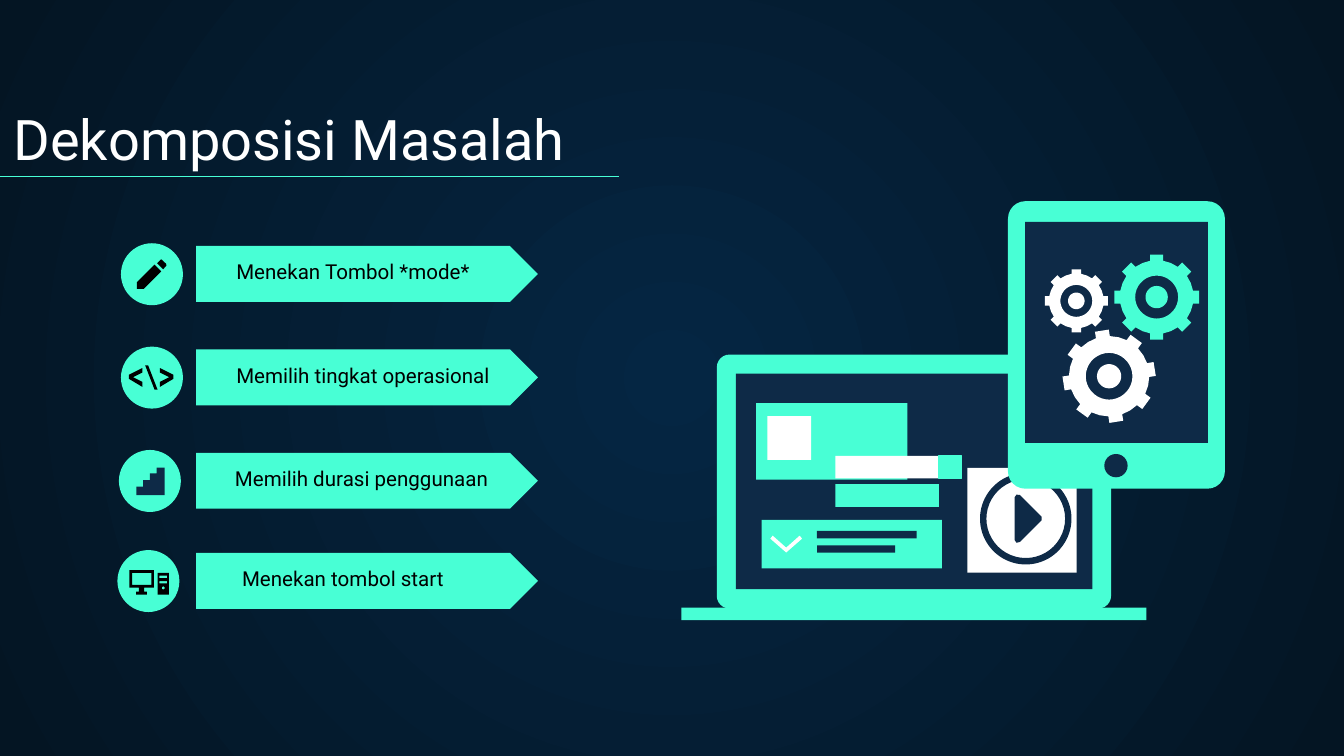
from math import asin, cos, pi, radians, sin

from lxml import etree
from pptx import Presentation
from pptx.dml.color import RGBColor
from pptx.enum.shapes import MSO_CONNECTOR, MSO_SHAPE
from pptx.enum.text import MSO_ANCHOR, MSO_AUTO_SIZE, PP_ALIGN
from pptx.oxml.ns import qn
from pptx.util import Pt

MINT = RGBColor(0x48, 0xFF, 0xD5)
NAVY = RGBColor(0x0E, 0x2A, 0x47)
WHITE = RGBColor(0xFF, 0xFF, 0xFF)
BLACK = RGBColor(0, 0, 0)
GLOW = RGBColor(0x05, 0x26, 0x43)
EDGE = RGBColor(0x04, 0x15, 0x23)

RECT = MSO_SHAPE.RECTANGLE
ROUND = MSO_SHAPE.ROUNDED_RECTANGLE
OVAL = MSO_SHAPE.OVAL
RING = MSO_SHAPE.DONUT
ARROW = MSO_SHAPE.PENTAGON
STRAIGHT = MSO_CONNECTOR.STRAIGHT
LEFT = PP_ALIGN.LEFT
BOTTOM = MSO_ANCHOR.BOTTOM
FIXED = MSO_AUTO_SIZE.NONE


def box(left, top, right, bottom):
    return [(left, top), (right, top), (right, bottom), (left, bottom)]


def polar(x, y, radius, angle):
    return x + radius * sin(angle), y - radius * cos(angle)


def circle(x, y, radius):
    return [polar(x, y, radius, i * pi / 18) for i in range(36)]


class Board:
    font = "Roboto"

    def __init__(self, deck):
        self.slide = deck.slides.add_slide(deck.slide_layouts[5])
        self.shapes = self.slide.shapes

    def backdrop(self, inner, outer):
        fill = self.slide.background.fill
        fill.gradient()
        for stop, color, place in zip(fill.gradient_stops, (inner, outer), (0, 1)):
            stop.color.rgb = color
            stop.position = place
        grad = self.slide._element.find(".//" + qn("a:gradFill"))
        way = etree.Element(qn("a:path"))
        way.set("path", "circle")
        sides = dict.fromkeys("ltrb", "50000")
        etree.SubElement(way, qn("a:fillToRect"), **sides)
        grad.replace(grad.find(qn("a:lin")), way)

    def paint(self, item, color):
        item.shadow.inherit = False
        item.fill.solid()
        item.fill.fore_color.rgb = color
        item.line.fill.background()
        return item

    def shape(self, kind, color, left, top, width, height, adjust=None):
        item = self.shapes.add_shape(kind, Pt(left), Pt(top), Pt(width), Pt(height))
        if adjust is not None:
            item.adjustments[0] = adjust
        return self.paint(item, color)

    def trace(self, color, loops, dx=0, dy=0):
        loops = [[(Pt(x + dx), Pt(y + dy)) for x, y in loop] for loop in loops]
        pen = self.shapes.build_freeform(*loops[0][0])
        for i, loop in enumerate(loops):
            if i:
                pen.move_to(*loop[0])
            pen.add_line_segments(loop[1:], close=True)
        return self.paint(pen.convert_to_shape(), color)

    def gear(self, color, x, y, radius, tilt=0):
        body, half = 0.86, 0.15
        foot, tip = asin(half / body), asin(half)
        rim = []
        for i in range(8):
            turn = radians(tilt + 45 * i)
            for size, angle in ((body, -foot), (1, -tip), (1, tip), (body, foot), (body, pi / 8)):
                rim.append(polar(x, y, size * radius, turn + angle))
        self.trace(color, [rim, circle(x, y, 0.5 * radius), circle(x, y, 0.26 * radius)])

    def line(self, x1, y1, x2, y2, color):
        item = self.shapes.add_connector(STRAIGHT, Pt(x1), Pt(y1), Pt(x2), Pt(y2))
        item.line.color.rgb = color
        item.line.width = Pt(0.75)
        etree.SubElement(item._element.spPr, qn("a:effectLst"))

    def letter(self, item, text, size, color):
        frame = item.text_frame
        frame.text = text
        frame.word_wrap = True
        frame.auto_size = FIXED
        frame.vertical_anchor = BOTTOM
        frame.margin_left = frame.margin_right = Pt(7.2)
        frame.margin_top = frame.margin_bottom = Pt(7.2)
        line = frame.paragraphs[0]
        line.alignment = LEFT
        font = line.runs[0].font
        font.name, font.size = self.font, Pt(size)
        font.color.rgb = color

    def title(self, text, left, top, width, height):
        item = self.shapes.title
        item.left, item.top = Pt(left), Pt(top)
        item.width, item.height = Pt(width), Pt(height)
        self.letter(item, text, 30, WHITE)

    def label(self, text, left, top, width, height):
        item = self.shapes.add_textbox(Pt(left), Pt(top), Pt(width), Pt(height))
        self.letter(item, text, 11, BLACK)


PENCIL = [
    [(21.6, 8.6), (19.4, 10.8), (22.6, 14), (24.4, 12), (24.2, 11)],
    [(18, 11.5), (8.6, 20.9), (8.6, 24.5), (12.2, 24.5), (21.6, 15.1)],
]
ANGLE = [(11.5, 21.6), (4.3, 17.3), (4.3, 15.1), (11.5, 11.5), (11.5, 13.9),
         (6.5, 16.4), (11.5, 18.9)]
CODE = [ANGLE, [(18, 23), (13, 10.1), (14.6, 10.1), (19.6, 23)],
        [(32.4 - x, y) for x, y in ANGLE]]
STAIRS = [[(20.2, 9.4), (20.2, 12.6), (16.6, 12.6), (16.6, 16.2), (13, 16.2),
           (13, 19.6), (9.4, 19.6), (9.4, 24.2), (24.5, 24.2), (24.5, 9.4)]]
DESK = [
    box(6.5, 10.8, 19.6, 20.2), box(7.9, 12.2, 18.2, 18.7),
    box(11.5, 20.2, 14.4, 22.3), box(10.1, 22.3, 15.8, 23.8),
    box(21.6, 12.2, 27.6, 23.8), box(22.5, 13.7, 26.7, 15),
    box(22.5, 16.6, 26.7, 17.9), circle(24.6, 20.3, 0.8),
]
ROWS = [
    (131.8, 64.8, 119.5, BLACK, PENCIL, "Menekan Tombol *mode*"),
    (187.2, 64.8, 119.5, BLACK, CODE, "Memilih tingkat operasional"),
    (242.6, 63.7, 118.8, NAVY, STAIRS, "Memilih durasi penggunaan"),
    (296.2, 62.9, 122.6, BLACK, DESK, "Menekan tombol start"),
]


def main():
    deck = Presentation()
    deck.slide_width, deck.slide_height = Pt(720), Pt(405)
    board = Board(deck)
    board.backdrop(GLOW, EDGE)
    board.title("Dekomposisi Masalah", 0, 51.8, 617, 47.5)
    board.line(0, 94.4, 331.4, 94.4, MINT)

    for top, left, start, ink, icon, text in ROWS:
        board.shape(ARROW, MINT, 105.1, top, 183.1, 30)
        board.shape(OVAL, MINT, left, top - 1.5, 33.2, 33.2)
        board.trace(ink, icon, left, top - 1.5)
        board.label(text, start, top + 12.4, 163.4, 15.1)

    board.shape(ROUND, MINT, 384, 190, 211.2, 136, 0.05)
    board.shape(RECT, NAVY, 394.2, 200.2, 191, 115.4)
    for color, *place in (
        (MINT, 365, 325.6, 249.2, 6.6),
        (MINT, 405.1, 216, 81, 41),
        (WHITE, 411.1, 222.9, 23.5, 23.5),
        (MINT, 433.4, 278.6, 71.2, 25.9),
        (NAVY, 437.7, 284.4, 53.4, 4),
        (NAVY, 437.7, 292.1, 41.8, 4),
        (MINT, 408, 278.6, 25.4, 25.9),
        (MINT, 447.6, 259.4, 55.4, 12.2),
        (WHITE, 447.6, 244.2, 55.4, 12.2),
        (WHITE, 518.2, 250.6, 58.6, 56.2),
    ):
        board.shape(RECT, color, *place)
    tile = board.shape(RECT, MINT, 503, 244.2, 12.2, 12.2)
    tile.line.color.rgb = MINT
    tile.line.width = Pt(0.75)
    board.trace(WHITE, [[(414, 287), (421.2, 293.4), (428.4, 287), (429.7, 288.6),
                         (421.2, 296), (412.7, 288.6)]])
    board.shape(RING, NAVY, 525, 253.4, 49, 49, 0.07)
    board.trace(NAVY, [[(543.6, 266.4), (544.6, 265), (546.4, 265.2), (558, 276.8),
                        (558, 278.8), (546.4, 290.4), (544.6, 290.8), (543.6, 289.4)]])

    board.shape(ROUND, MINT, 540, 107.8, 116.2, 154, 0.08)
    board.shape(RECT, NAVY, 549.2, 118.9, 97.9, 118.4)
    board.shape(OVAL, NAVY, 591.6, 243.2, 12.5, 12.5)
    board.gear(MINT, 619.7, 159.2, 23)
    board.gear(WHITE, 576.6, 161.2, 17.1)
    board.gear(WHITE, 594.2, 201.6, 25, -9)
    deck.save("out.pptx")


if __name__ == "__main__":
    main()
